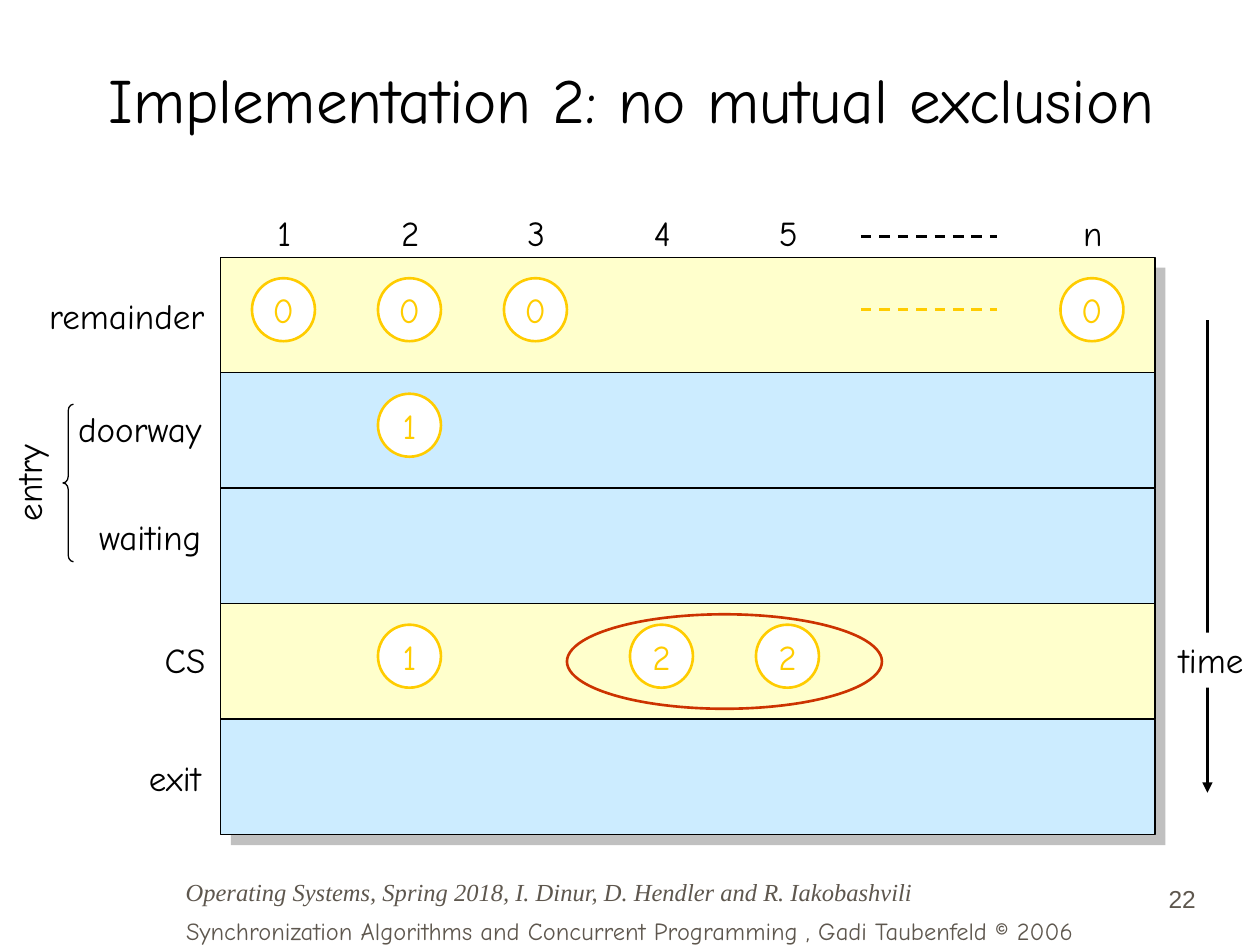
from lxml.etree import SubElement
from pptx import Presentation
from pptx.dml.color import RGBColor
from pptx.enum.dml import MSO_LINE
from pptx.enum.shapes import MSO_CONNECTOR, MSO_SHAPE
from pptx.enum.text import MSO_ANCHOR, MSO_AUTO_SIZE, PP_ALIGN
from pptx.oxml.ns import qn
from pptx.util import Pt

BLACK, WHITE, GREY, GOLD, RED = "000000", "FFFFFF", "5E574E", "FFCC00", "CC3300"
CREAM, SKY, SHADE = "FFFFCC", "CCECFF", "C0C0C0"
FONT = "Comic Neue"

TITLE = "Implementation 2: no mutual exclusion"
COURSE = "Operating Systems, Spring 2018, I. Dinur, D. Hendler and R. Iakobashvili"
CREDIT = "Synchronization Algorithms and Concurrent Programming , Gadi Taubenfeld © 2006"
PAGE = "22"

# label, fill, label box (left, top, width), {process: value}
ROWS = [
    ("remainder", CREAM, (21, 165, 103.5), {"1": "0", "2": "0", "3": "0", "n": "0"}),
    ("doorway", SKY, (37.5, 229.5, 85), {"2": "1"}),
    ("waiting", SKY, (49.5, 291, 73), {}),
    ("CS", CREAM, (87, 361.5, 37.5), {"2": "1", "4": "2", "5": "2"}),
    ("exit", SKY, (78, 429, 44), {}),
]
# Centre of each process column
COLS = {str(i + 1): 162 + 72 * i for i in range(5)} | {"n": 624}
LEFT, TOP, WIDE, HIGH = 126, 147, 534, 66
DOT, DROP = 36, 12
LABEL_H = 31.5


def color(code):
    return RGBColor.from_string(code)


def write(shape, text, size=20, ink=BLACK, font=FONT, align=PP_ALIGN.LEFT,
          anchor=MSO_ANCHOR.TOP, wrap=False, italic=False):
    frame = shape.text_frame
    frame.word_wrap = wrap
    frame.auto_size = MSO_AUTO_SIZE.NONE
    frame.vertical_anchor = anchor
    para = frame.paragraphs[0]
    para.alignment = align
    run = para.add_run()
    run.text = text
    run.font.size = Pt(size)
    run.font.name = font
    run.font.italic = italic
    run.font.color.rgb = color(ink)


def label(box, text, **style):
    shape = slide.shapes.add_textbox(*map(Pt, box))
    write(shape, text, **style)
    return shape


def draw(kind, box, fill=None, line=None, width=0.75):
    shape = slide.shapes.add_shape(kind, *map(Pt, box))
    shape.shadow.inherit = False
    if fill:
        shape.fill.solid()
        shape.fill.fore_color.rgb = color(fill)
    else:
        shape.fill.background()
    if line:
        shape.line.color.rgb = color(line)
        shape.line.width = Pt(width)
    else:
        shape.line.fill.background()
    return shape


def rule(ends, ink):
    line = slide.shapes.add_connector(MSO_CONNECTOR.STRAIGHT, *map(Pt, ends))
    line.line.color.rgb = color(ink)
    line.line.width = Pt(1.5)
    SubElement(line._element.spPr, qn("a:effectLst"))
    return line


def dashes(y, ink):
    rule((492, y, 570, y), ink).line.dash_style = MSO_LINE.DASH


deck = Presentation()
deck.slide_width, deck.slide_height = Pt(720), Pt(540)
slide = deck.slides.add_slide(deck.slide_layouts[5])

title = slide.shapes.title
title.left, title.top, title.width, title.height = map(Pt, (19.5, 29, 682.5, 54))
write(title, TITLE, size=36, align=PP_ALIGN.CENTER,
      anchor=MSO_ANCHOR.MIDDLE, wrap=True)

# Time axis
axis = rule((690, 183, 690, 453), BLACK)
axis.line._get_or_add_ln().append(
    axis._element.makeelement(qn("a:tailEnd"), {"type": "triangle"}))
write(draw(MSO_SHAPE.RECTANGLE, (666.5, 361.5, 51, LABEL_H), WHITE), "time")

# Bands with their labels and processes
draw(MSO_SHAPE.RECTANGLE, (LEFT + 6, TOP + 6, WIDE, HIGH * len(ROWS)), SHADE)
for i, (name, fill, place, marks) in enumerate(ROWS):
    top = TOP + HIGH * i
    draw(MSO_SHAPE.RECTANGLE, (LEFT, top, WIDE, HIGH), fill, BLACK)
    label((*place, LABEL_H), name)
    for col, value in marks.items():
        dot = draw(MSO_SHAPE.OVAL, (COLS[col] - DOT / 2, top + DROP, DOT, DOT),
                   WHITE, GOLD, 1.5)
        write(dot, value, ink=GOLD, align=PP_ALIGN.CENTER,
              anchor=MSO_ANCHOR.MIDDLE)

for name, mid in COLS.items():
    label((mid - 12, 117.5, 25, LABEL_H), name, align=PP_ALIGN.CENTER)
dashes(135, BLACK)
dashes(177, GOLD)
draw(MSO_SHAPE.OVAL, (324, 351, 180, 54), line=RED, width=1.5)

# Entry section
brace = draw(MSO_SHAPE.LEFT_BRACE, (36, 231, 6, 90), line=BLACK)
brace.adjustments[0] = 0.62
label((-13, 260, 58.5, LABEL_H), "entry").rotation = 270

# Footer
label((99, 497, 459.5, 24.5), COURSE, size=14, ink=GREY, font="Times New Roman",
      anchor=MSO_ANCHOR.BOTTOM, wrap=True, italic=True)
label((607.5, 489.5, 83, 36), PAGE, size=14, ink=GREY, font="Arial",
      align=PP_ALIGN.RIGHT, anchor=MSO_ANCHOR.BOTTOM, wrap=True)
write(draw(MSO_SHAPE.RECTANGLE, (0, 520, 720, 20), WHITE), CREDIT, size=14,
      ink=GREY, align=PP_ALIGN.CENTER, wrap=True)

deck.save("out.pptx")
